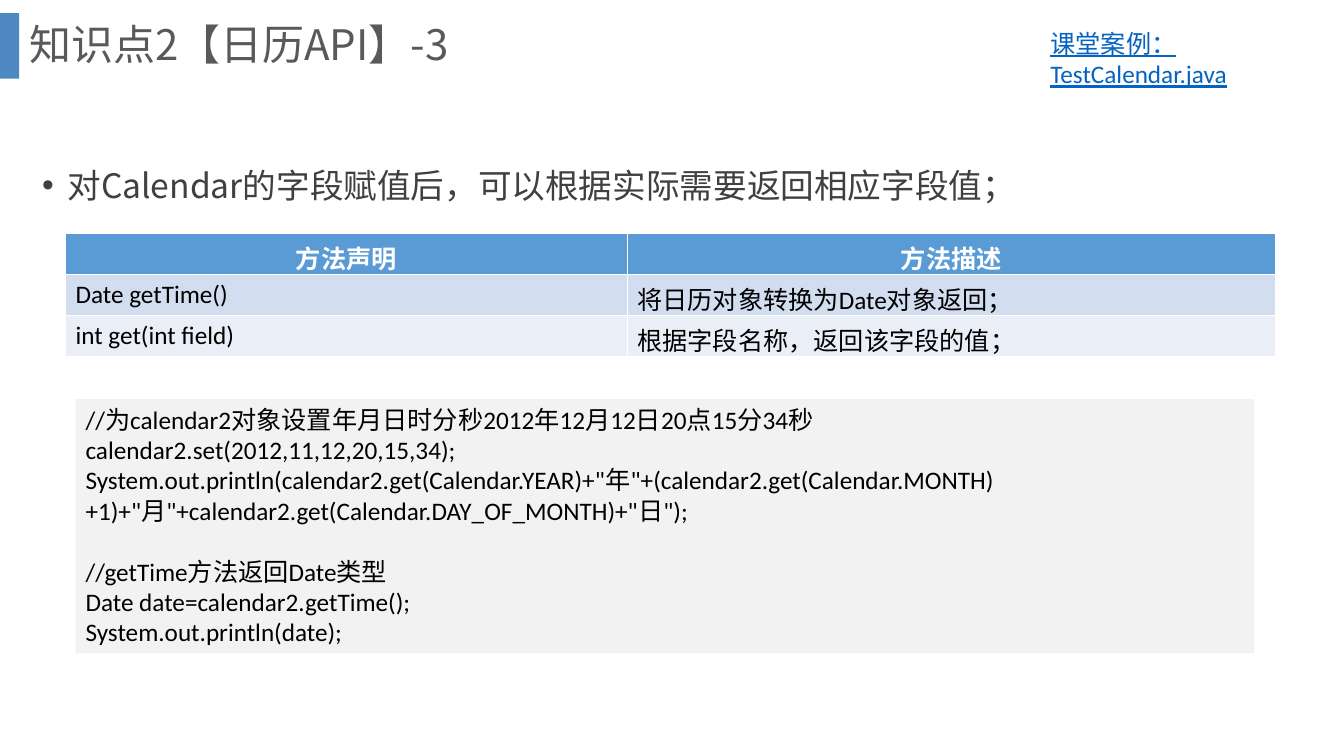
"""Build the slide on reading field values with the calendar API."""
import dataclasses

import lxml.etree
import pptx
import pptx.dml.color
import pptx.enum.shapes
import pptx.enum.text
import pptx.oxml.ns
import pptx.util

Inches = pptx.util.Inches


@dataclasses.dataclass(frozen=True)
class Theme:
    cjk: str = "Noto Sans CJK SC"
    latin: str = "Calibri"
    title: str = "595959"
    body: str = "404040"
    text: str = "000000"
    white: str = "FFFFFF"
    link: str = "0563C1"
    accent: str = "2E75B6"
    code_fill: str = "F2F2F2"
    row_fills: tuple = ("5B9BD5", "D2DEEF", "EAEFF7")
    title_size: int = 30
    body_size: int = 24
    size: int = 18


theme = Theme()
qn = pptx.oxml.ns.qn
rgb = pptx.dml.color.RGBColor.from_string


def write(p, text, size=theme.size, color=theme.text, latin=theme.latin,
          ea=theme.latin, bold=False, underline=False,
          align=pptx.enum.text.PP_ALIGN.LEFT, spacing=None, before=0):
    p.alignment = align
    p.line_spacing = spacing
    p.space_before = pptx.util.Pt(before)
    r = p.add_run()
    r.text = text
    r.font.size = pptx.util.Pt(size)
    r.font.color.rgb = rgb(color)
    r.font.name = latin
    r.font.bold = bold
    r.font.underline = underline
    lxml.etree.SubElement(r.font._element, qn("a:ea"), typeface=ea)


def add_box(s, left, top, width, height, fill=None):
    at = [Inches(v) for v in (left, top, width, height)]
    if fill is None:
        sp = s.shapes.add_textbox(*at)
    else:
        sp = s.shapes.add_shape(pptx.enum.shapes.MSO_SHAPE.RECTANGLE, *at)
        sp.shadow.inherit = False
        sp.fill.solid()
        sp.fill.fore_color.rgb = rgb(fill)
        sp.line.fill.background()
    sp.text_frame.word_wrap = True
    sp.text_frame.vertical_anchor = pptx.enum.text.MSO_ANCHOR.TOP
    return sp


prs = pptx.Presentation()
prs.slide_width = Inches(13.33)
prs.slide_height = Inches(7.5)
s = prs.slides.add_slide(prs.slide_layouts[6])

bar = add_box(s, 0, 0.13, 0.19, 0.65, theme.accent)
bar_color = bar.fill._xPr.find(qn("a:solidFill"))[0]
lxml.etree.SubElement(bar_color, qn("a:alpha"), val="85000")

tf = add_box(s, 0.32, 1.39, 12.05, 1.13).text_frame
p = tf.paragraphs[0]
write(p, "对Calendar的字段赋值后，可以根据实际需要返回相应字段值；",
      size=theme.body_size, color=theme.body, latin=theme.cjk, ea=theme.cjk,
      spacing=1.5, before=10)
pPr = p._p.get_or_add_pPr()
pPr.set("marL", str(Inches(0.25)))
pPr.set("indent", str(Inches(-0.25)))
lxml.etree.SubElement(pPr, qn("a:buFont"), typeface="Arial")
lxml.etree.SubElement(pPr, qn("a:buChar"), char="•")

tf = add_box(s, 0.19, 0, 12.66, 0.93).text_frame
tf.vertical_anchor = pptx.enum.text.MSO_ANCHOR.MIDDLE
write(tf.paragraphs[0], "知识点2【日历API】-3", size=theme.title_size,
      color=theme.title, latin=theme.cjk, ea=theme.cjk, spacing=0.9)

methods = [
    ("方法声明", "方法描述"),
    ("Date getTime()", "将日历对象转换为Date对象返回；"),
    ("int get(int field)", "根据字段名称，返回该字段的值；"),
]
table = s.shapes.add_table(3, 2, Inches(0.65), Inches(2.32),
                           Inches(12), Inches(1.22)).table
for column, width in zip(table.columns, (5.57, 6.43)):
    column.width = Inches(width)
for i, (row, fill) in enumerate(zip(methods, theme.row_fills)):
    head = i == 0
    align = pptx.enum.text.PP_ALIGN.CENTER if head else pptx.enum.text.PP_ALIGN.LEFT
    for j, text in enumerate(row):
        cell = table.cell(i, j)
        cell.fill.solid()
        cell.fill.fore_color.rgb = rgb(fill)
        write(cell.text_frame.paragraphs[0], text, ea=theme.cjk, bold=head,
              color=theme.white if head else theme.text, align=align)

code = [
    ("//为calendar2对象设置年月日时分秒2012年12月12日20点15分34秒", 0),
    ("calendar2.set(2012,11,12,20,15,34);", 0),
    ('System.out.println(calendar2.get(Calendar.YEAR)+"年"+(calendar2.get(Calendar.MONTH)'
     '+1)+"月"+calendar2.get(Calendar.DAY_OF_MONTH)+"日");', 0),
    ("//getTime方法返回Date类型", 22),
    ("Date date=calendar2.getTime();", 0),
    ("System.out.println(date);", 0),
]
tf = add_box(s, 0.75, 3.96, 11.69, 2.52, theme.code_fill).text_frame
for i, (line, before) in enumerate(code):
    p = tf.add_paragraph() if i else tf.paragraphs[0]
    write(p, line, before=before)

tf = add_box(s, 10.32, 0.23, 2.77, 0.71).text_frame
write(tf.paragraphs[0], "课堂案例： TestCalendar.java", color=theme.link, underline=True)

prs.save("out.pptx")
